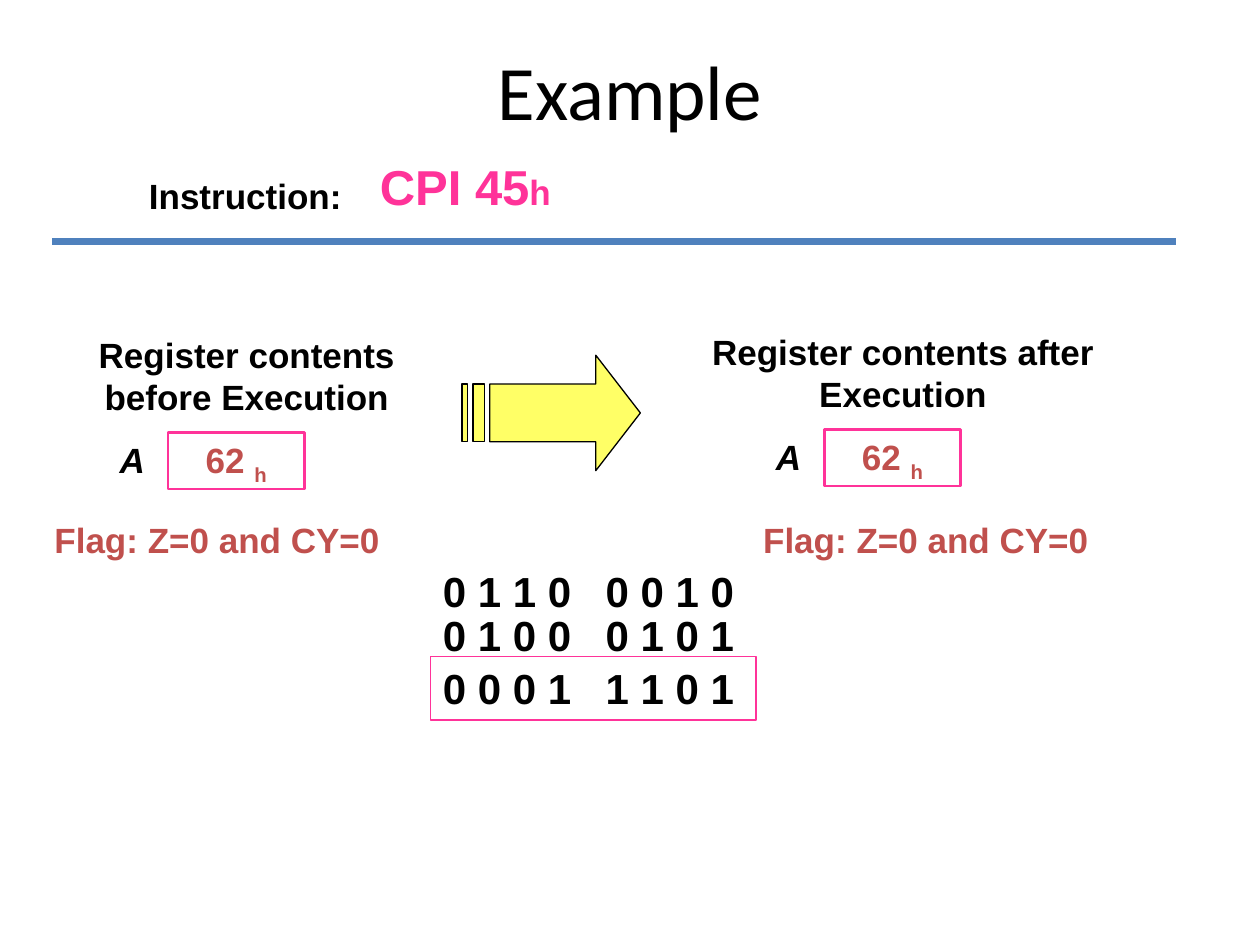
from lxml import etree
from pptx import Presentation
from pptx.dml.color import RGBColor
from pptx.enum import shapes as kinds, text as te
from pptx.oxml.ns import qn
from pptx.util import Pt

BLACK, PINK, RED = "000000", "FF3399", "C0504D"
BLUE, YELLOW = "4F81BD", "FFFF66"
LEFT, CENTER, RIGHT = te.PP_ALIGN.LEFT, te.PP_ALIGN.CENTER, te.PP_ALIGN.RIGHT


def color(value):
    return RGBColor.from_string(value)


def add_text(slide, box, *pieces, size=20, ink=BLACK, font="Arial", bold=True,
             italic=False, align=LEFT, anchor=te.MSO_ANCHOR.TOP,
             border=None, border_width=0.75, tab=None):
    """Each piece is a string or a (string, size, baseline) tuple."""
    box = [Pt(n) for n in box]
    if border:
        frame = slide.shapes.add_shape(kinds.MSO_SHAPE.RECTANGLE, *box)
        frame.shadow.inherit = False
        frame.fill.background()
        frame.line.color.rgb = color(border)
        frame.line.width = Pt(border_width)
    else:
        frame = slide.shapes.add_textbox(*box)
    body = frame.text_frame
    body.word_wrap = True
    body.vertical_anchor = anchor
    paragraph = body.paragraphs[0]
    paragraph.alignment = align
    if tab:
        stops = etree.SubElement(paragraph._p.get_or_add_pPr(), qn("a:tabLst"))
        etree.SubElement(stops, qn("a:tab"), pos=str(Pt(tab)), algn="l")
    for piece in pieces:
        words, points, baseline = (piece, size, 0) if isinstance(piece, str) else piece
        run = paragraph.add_run()
        run.text = words
        run.font.name, run.font.size = font, Pt(points)
        run.font.bold, run.font.italic = bold, italic
        run.font.color.rgb = color(ink)
        if baseline:
            run._r.get_or_add_rPr().set("baseline", str(baseline * 1000))


def add_header(slide, left, top, width):
    add_text(slide, (left + 24, top, width - 30, 90), "Example", size=44,
             font="Calibri", bold=False, align=CENTER, anchor=te.MSO_ANCHOR.MIDDLE)
    add_text(slide, (left + 48, top + 90, 132, 31), "Instruction:")
    add_text(slide, (left + 180, top + 80, 156, 41), "CPI 45", ("h", 20, 0),
             size=28, ink=PINK)
    # Rule under the instruction
    y = Pt(top + 132)
    rule = slide.shapes.add_connector(kinds.MSO_CONNECTOR.STRAIGHT,
                                      Pt(left), y, Pt(left + width), y)
    rule.line.color.rgb = color(BLUE)
    rule.line.width = Pt(4.5)
    etree.SubElement(rule._element.spPr, qn("a:effectLst"))


def add_striped_arrow(slide, left, top, width, height):
    """Outlines lie on a grid of 32 columns and 4 rows."""
    def bar(start, end):
        return [(start, 1), (start, 3), (end, 3), (end, 1)]

    head = [(24, 0), (24, 1), (5, 1), (5, 3), (24, 3), (24, 4), (32, 2)]
    outlines = [[(Pt(left + width * col / 32), Pt(top + height * row / 4))
                 for col, row in outline]
                for outline in (head, bar(2, 4), bar(0, 1))]
    builder = slide.shapes.build_freeform(*outlines[0][0])
    for i, outline in enumerate(outlines):
        if i:
            builder.move_to(*outline[0])
        builder.add_line_segments(outline[1:], close=True)
    arrow = builder.convert_to_shape()
    arrow.shadow.inherit = False
    arrow.fill.solid()
    arrow.fill.fore_color.rgb = color(YELLOW)
    arrow.line.color.rgb = color(BLACK)
    arrow.line.width = Pt(0.75)


def add_register_state(slide, left, top, width, caption, flag_left):
    add_text(slide, (left, top, width, 55.5), caption, align=CENTER)
    add_text(slide, (left + 72, top + 60, 78, 32.5), "62 ", ("h", 20, -25),
             ink=RED, align=CENTER, border=PINK, border_width=1.5)
    add_text(slide, (left, top + 60, 66, 31), "A", italic=True, align=RIGHT)
    add_text(slide, (flag_left, 292.5, 204, 31.5), "Flag: Z=0 and CY=0", ink=RED)


def add_subtraction(slide, left, top):
    rows = [("0 1 1 0\t0 0 1 0", 0, 210, None),
            ("0 1 0 0\t0 1 0 1", 25, 210, None),
            ("0 0 0 1\t1 1 0 1", 55.5, 186, PINK)]
    for bits, offset, width, border in rows:
        add_text(slide, (left, top + offset, width, 36.5), bits, size=24,
                 border=border, tab=93)


def main():
    deck = Presentation()
    deck.slide_width, deck.slide_height = Pt(720), Pt(540)
    slide = deck.slides.add_slide(deck.slide_layouts[6])
    add_header(slide, 30, 6, 642)
    add_striped_arrow(slide, 264, 203, 102, 66)
    add_subtraction(slide, 246, 319.5)
    add_register_state(slide, 24, 187, 234, "Register contents before Execution", 24)
    add_register_state(slide, 399, 185.25, 234, "Register contents after Execution", 429)
    deck.save("out.pptx")


if __name__ == "__main__":
    main()
